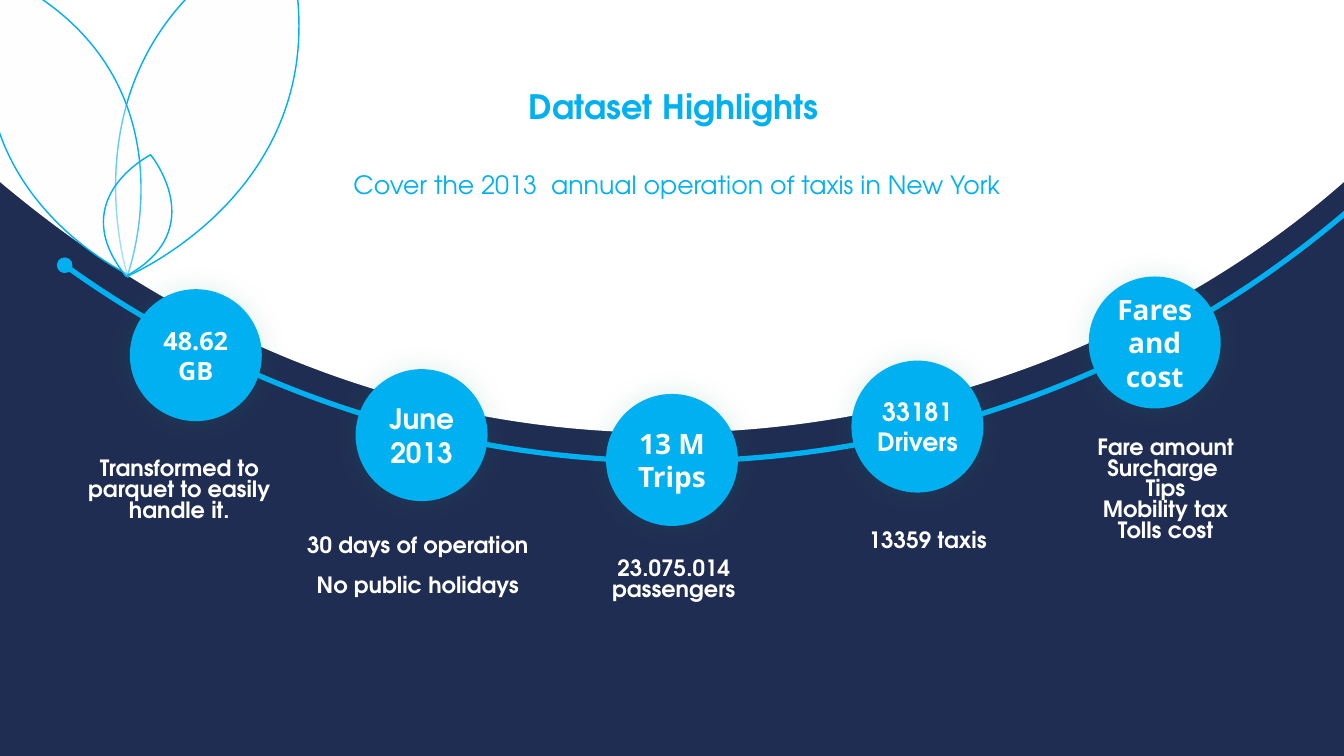
from dataclasses import dataclass
from math import cos, radians, sin

from lxml.etree import SubElement
from pptx import Presentation
from pptx.dml.color import RGBColor
from pptx.enum.shapes import MSO_SHAPE as Preset
from pptx.enum.text import MSO_ANCHOR as Anchor, MSO_AUTO_SIZE as AutoSize, PP_ALIGN as Align
from pptx.oxml.ns import qn
from pptx.util import Cm, Pt


@dataclass(frozen=True)
class Theme:
    navy: str = "202D52"
    sky: str = "00B0F0"
    white: str = "FFFFFF"
    glow: str = "1D9A78"
    body_font: str = "TeX Gyre Adventor"
    alt_font: str = "Open Sans"
    title_size: int = 48
    subtitle_size: int = 36
    large_size: int = 40
    medium_size: int = 36
    note_size: int = 32


THEME = Theme()
PAGE_WIDTH, PAGE_HEIGHT = 67.74, 38.1
CIRCLE_SIZE = 6.58


@dataclass(frozen=True)
class Milestone:
    label: str
    circle: tuple
    font: str
    size: int
    note: str
    note_box: tuple
    leading: int = 30
    gap: int = 0


@dataclass(frozen=True)
class Petal:
    box: tuple
    rotation: float
    start: tuple
    curves: tuple
    opacities: tuple


MILESTONES = [
    Milestone("48.62 GB", (6.58, 14.61), THEME.alt_font, THEME.medium_size,
              "Transformed to parquet to easily handle it.", (4.06, 22.89, 9.96, 3.78)),
    Milestone("June\n2013", (17.96, 18.64), THEME.body_font, THEME.large_size,
              "30 days of operation\nNo public holidays", (15.14, 26.87, 11.84, 3.56), 28, 28),
    Milestone("13 M\nTrips", (30.58, 19.89), THEME.alt_font, THEME.large_size,
              "23.075.014 passengers", (28.98, 27.94, 9.96, 2.72)),
    Milestone("33181\nDrivers", (42.95, 18.21), THEME.body_font, THEME.medium_size,
              "13359 taxis", (42.95, 26.52, 7.62, 1.65)),
    Milestone("Fares and cost", (54.91, 13.97), THEME.alt_font, THEME.large_size,
              "Fare amount\nSurcharge \nTips\nMobility tax\nTolls cost", (53.82, 21.82, 9.86, 5.92)),
]

LARGE_PETAL = Petal((6.6, -4.37, 7.59, 19.18), 204.2, (6.45, 13.97),
                    (((6.45, 13.97), (2.54, 1.96), (14.3, -3.53)),
                     ((17.93, 8.38), (7.57, 13.39), (6.48, 13.89))), (42, 8))
LEFT_PETAL = Petal((0.05, -1.88, 6.48, 16.38), 157, (6.48, 13.84),
                   (((6.48, 13.84), (-3.3, 9.32), (0.08, -1.22)),
                    ((9.65, 3.43), (6.78, 12.83), (6.45, 13.79))), (51, 8))
SMALL_PETAL = Petal((5.26, 7.72, 3.4, 6.27), 11.6, (7.59, 7.8),
                    (((7.59, 7.8), (10.69, 11.56), (6.35, 13.92)),
                     ((3.35, 10.19), (7.19, 8.03), (7.59, 7.8))), (3, 53))


def rgb(code):
    return RGBColor.from_string(code)


def paint(shape, color):
    shape.fill.solid()
    shape.fill.fore_color.rgb = rgb(color)


def outline(shape, color, width):
    shape.line.color.rgb = rgb(color)
    shape.line.width = Pt(width)


def to_local(point, box, rotation):
    left, top, width, height = box
    dx, dy = point[0] - left - width / 2, point[1] - top - height / 2
    turn = radians(rotation)
    return (dx * cos(turn) + dy * sin(turn) + width / 2,
            dy * cos(turn) - dx * sin(turn) + height / 2)


def add_curved_shape(page, box, rotation, start, segments):
    builder = page.shapes.build_freeform(0, 0)
    builder.add_line_segments([(Cm(box[2]), Cm(box[3]))], close=True)
    shape = builder.convert_to_shape()
    shape.left, shape.top, shape.width, shape.height = map(Cm, box)
    shape.rotation = rotation
    shape.shadow.inherit = False
    route = next(shape._element.iter(qn("a:path")))
    for child in list(route):
        route.remove(child)
    route.set("w", str(Cm(box[2])))
    route.set("h", str(Cm(box[3])))
    for index, segment in enumerate([(start,), *segments]):
        kind = "a:moveTo" if index == 0 else "a:lnTo" if len(segment) == 1 else "a:cubicBezTo"
        step = SubElement(route, qn(kind))
        for point in segment:
            x, y = to_local(point, box, rotation)
            SubElement(step, qn("a:pt"), x=str(Cm(x)), y=str(Cm(y)))
    SubElement(route, qn("a:close"))
    return shape


def add_bowl(page):
    right = (PAGE_WIDTH, 9.17)
    rim = ((52.5, 22.61), (23.7, 29.13), (0, 9.17))
    bowl = add_curved_shape(page, (0, 0, PAGE_WIDTH, 21.82), 0, (0, 0),
                            [((PAGE_WIDTH, 0),), (right,), rim])
    paint(bowl, THEME.white)
    bowl.line.fill.background()


def add_petal(page, petal):
    shape = add_curved_shape(page, petal.box, petal.rotation, petal.start, petal.curves)
    shape.fill.gradient()
    shape.fill.gradient_angle = 315
    for stop, position in zip(shape.fill.gradient_stops, (0, 1)):
        stop.color.rgb = rgb(THEME.white)
        stop.position = position
    for color, opacity in zip(shape._element.iter(qn("a:srgbClr")), petal.opacities):
        SubElement(color, qn("a:alpha"), val=str(opacity * 1000))
    outline(shape, THEME.sky, 2)


def add_track(page):
    track = page.shapes.add_shape(Preset.ARC, Cm(-18.49), Cm(-81.46), Cm(104.7), Cm(104.7))
    track.adjustments[0] = 28.26
    track.adjustments[1] = 75.46
    track.shadow.inherit = False
    track.fill.background()
    outline(track, THEME.sky, 7.5)
    SubElement(track._element.spPr.find(qn("a:ln")), qn("a:tailEnd"), type="oval")


def add_glow(shape):
    shape.shadow.inherit = False
    effects = shape._element.spPr.find(qn("a:effectLst"))
    shadow = SubElement(effects, qn("a:outerShdw"), blurRad=str(Pt(40)), dist="0",
                        dir="0", algn="ctr", rotWithShape="0")
    color = SubElement(shadow, qn("a:srgbClr"), val=THEME.glow)
    SubElement(color, qn("a:alpha"), val="14000")


def write(shape, text, font, size, color, bold=True, leading=None, gap=0):
    frame = shape.text_frame
    frame.word_wrap = True
    frame.text = text
    for index, para in enumerate(frame.paragraphs):
        para.alignment = Align.CENTER
        if leading:
            para.line_spacing = Pt(leading)
        if gap and index:
            para.space_before = Pt(gap)
        for span in para.runs:
            span.font.name = font
            span.font.size = Pt(size)
            span.font.bold = bold
            span.font.color.rgb = rgb(color)


def set_margins(shape, left, top, right, bottom):
    frame = shape.text_frame
    frame.margin_left, frame.margin_top = Cm(left), Cm(top)
    frame.margin_right, frame.margin_bottom = Cm(right), Cm(bottom)
    frame.vertical_anchor = Anchor.TOP
    frame.auto_size = AutoSize.SHAPE_TO_FIT_TEXT


def add_circle(page, milestone):
    left, top = milestone.circle
    circle = page.shapes.add_shape(Preset.OVAL, Cm(left), Cm(top), Cm(CIRCLE_SIZE), Cm(CIRCLE_SIZE))
    paint(circle, THEME.sky)
    outline(circle, THEME.sky, 2)
    add_glow(circle)
    circle.text_frame.vertical_anchor = Anchor.MIDDLE
    write(circle, milestone.label, milestone.font, milestone.size, THEME.white)


def add_note(page, milestone):
    box = page.shapes.add_textbox(*map(Cm, milestone.note_box))
    set_margins(box, 0.28, 0.28, 0.28, 0.28)
    write(box, milestone.note, THEME.body_font, THEME.note_size, THEME.white,
          leading=milestone.leading, gap=milestone.gap)


def add_heading(page):
    title = page.shapes.title
    title.left, title.top, title.width, title.height = map(Cm, (18.57, 4.19, 30.78, 2.34))
    page.shapes._spTree.append(title._element)
    outline(title, THEME.white, 1)
    set_margins(title, 0.15, 0.15, 0.15, 0.15)
    write(title, "Dataset Highlights", THEME.body_font, THEME.title_size, THEME.sky)
    subtitle = page.shapes.add_textbox(Cm(13.89), Cm(8.64), Cm(41.15), Cm(1.55))
    set_margins(subtitle, 0.15, 0.13, 0.5, 0.13)
    write(subtitle, "Cover the 2013  annual operation of taxis in New York ", THEME.body_font,
          THEME.subtitle_size, THEME.sky, bold=False, leading=36.4)


def main():
    deck = Presentation()
    deck.slide_width, deck.slide_height = Cm(PAGE_WIDTH), Cm(PAGE_HEIGHT)
    page = deck.slides.add_slide(deck.slide_layouts[5])
    paint(page.background, THEME.navy)
    add_bowl(page)
    add_petal(page, LARGE_PETAL)
    add_track(page)
    for milestone in MILESTONES:
        add_circle(page, milestone)
    for petal in (LEFT_PETAL, SMALL_PETAL):
        add_petal(page, petal)
    add_heading(page)
    for milestone in MILESTONES:
        add_note(page, milestone)
    deck.save("out.pptx")


if __name__ == "__main__":
    main()
